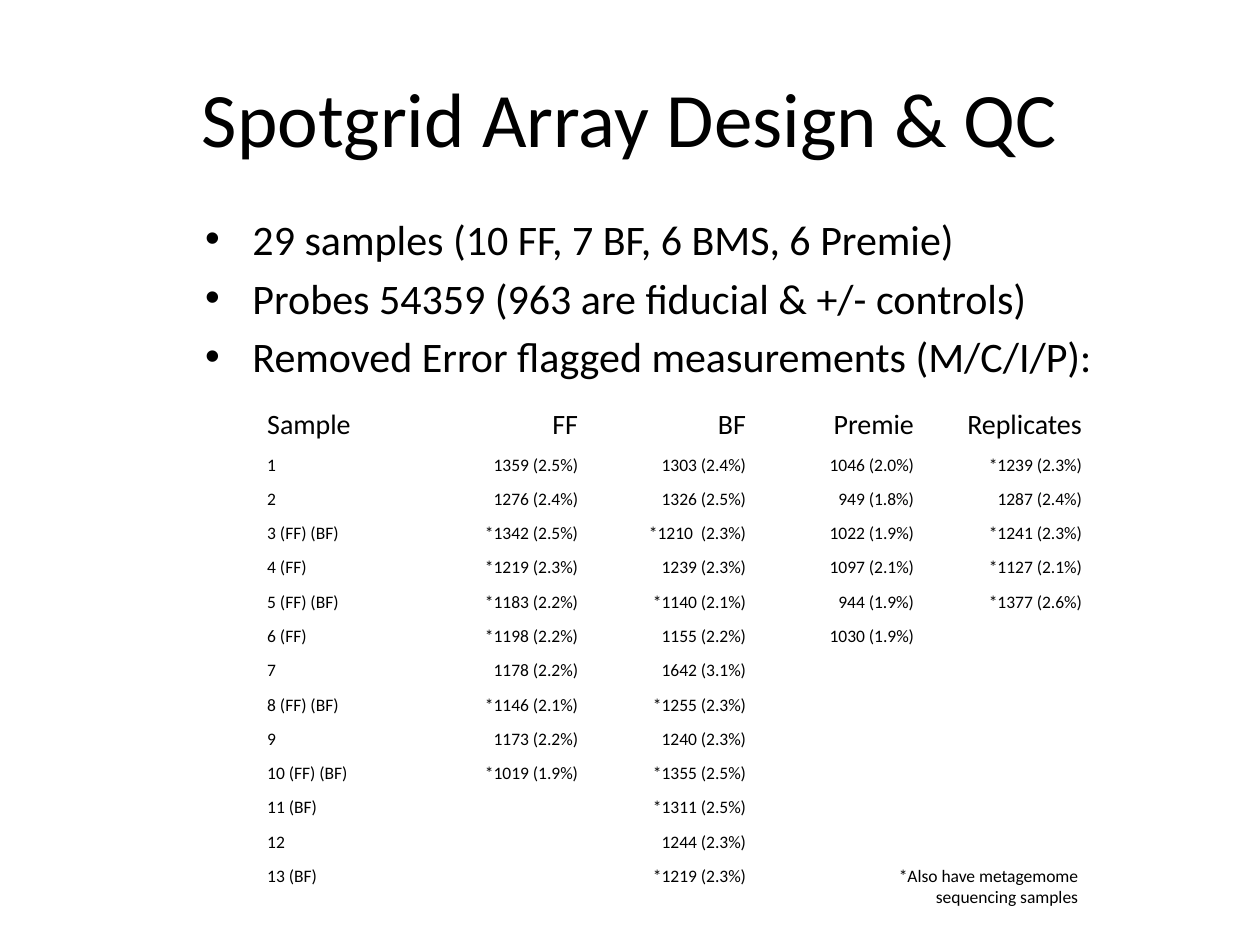
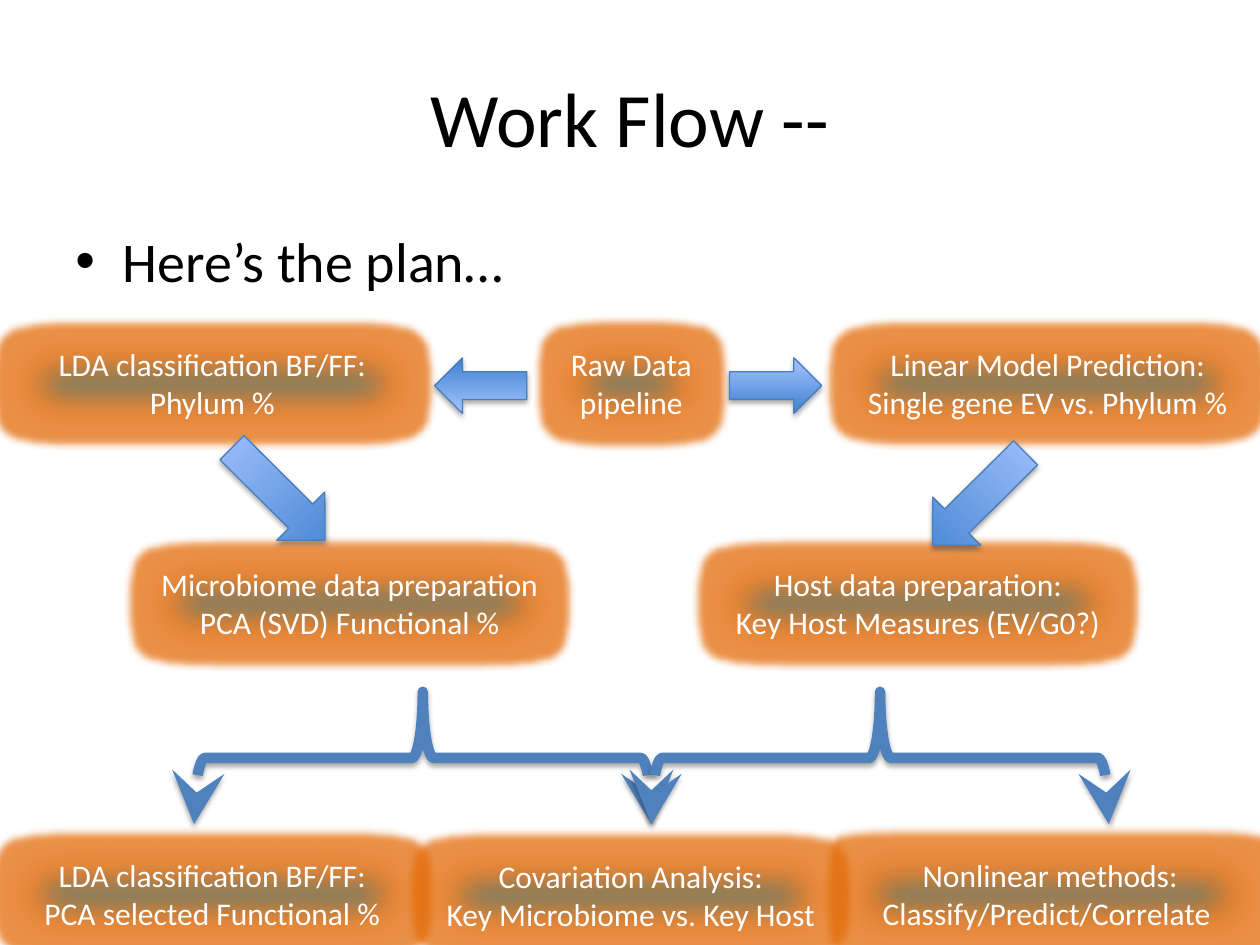
from lxml import etree
from pptx import Presentation
from pptx import util as u
from pptx.dml import color as dml
from pptx.enum import shapes, text
from pptx.oxml import ns

Pt = u.Pt
FONT = "Calibri"
BLACK, WHITE = "000000", "FFFFFF"
TEAL, ORANGE, BLUE = "31859C", "E46C0A", "4F81BD"
LEFT, CENTER, RIGHT = text.PP_ALIGN.LEFT, text.PP_ALIGN.CENTER, text.PP_ALIGN.RIGHT
A = 'xmlns:a="http://schemas.openxmlformats.org/drawingml/2006/main"'
SHADOW = (f'<a:outerShdw {A} blurRad="39370" dist="22860" dir="5400000" rotWithShape="0">'
          '<a:srgbClr val="000000"><a:alpha val="35000"/></a:srgbClr></a:outerShdw>')
GLOW = (f'<a:glow {A} rad="{Pt(9)}"><a:srgbClr val="{ORANGE}">'
        '<a:alpha val="75000"/></a:srgbClr></a:glow>')
SOFT_EDGE = f'<a:softEdge {A} rad="{Pt(20)}"/>'


def rgb(value):
    return dml.RGBColor.from_string(value)


def write(tf, lines, size, color=BLACK, align=LEFT, bullets=False):
    for i, line in enumerate(lines):
        p = tf.paragraphs[0] if i == 0 else tf.add_paragraph()
        p.alignment = align
        if bullets:
            pPr = p._p.get_or_add_pPr()
            pPr.set("marL", str(Pt(27)))
            pPr.set("indent", str(-Pt(27)))
            pPr.append(etree.fromstring(f'<a:buFont {A} typeface="Arial"/>'))
            pPr.append(etree.fromstring(f'<a:buChar {A} char="•"/>'))
            if i:
                p.space_before = Pt(size * 0.2)
        r = p.add_run()
        r.text = line
        r.font.name, r.font.size = FONT, Pt(size)
        r.font.color.rgb = rgb(color)


prs = Presentation()
prs.slide_width, prs.slide_height = Pt(720), Pt(540)

# Titles and bullet lists of both slides
contents = [
    ("Spotgrid Array Design & QC", 110.2, 118.3, 609, 24,
     ["29 samples (10 FF, 7 BF, 6 BMS, 6 Premie)",
      "Probes 54359 (963 are fiducial & +/- controls)",
      "Removed Error flagged measurements (M/C/I/P):"]),
    ("Work Flow --", 36, 126, 648, 32, ["Here’s the plan…"]),
]
slides = []
for title, left, top, width, size, points in contents:
    slide = prs.slides.add_slide(prs.slide_layouts[5])
    sp = slide.shapes.title
    sp.left, sp.top, sp.width, sp.height = Pt(36), Pt(21.6), Pt(648), Pt(90)
    sp.text_frame.vertical_anchor = text.MSO_ANCHOR.MIDDLE
    write(sp.text_frame, [title], 44, align=CENTER)
    tf = slide.shapes.add_textbox(Pt(left), Pt(top), Pt(width), Pt(356)).text_frame
    tf.word_wrap = True
    write(tf, points, size, bullets=True)
    slides.append(slide)
qc, flow = slides

# Slide 1: flagged measurements per sample
rows = [
    ("Sample", "FF", "BF", "Premie", "Replicates"),
    ("1", "1359 (2.5%)", "1303 (2.4%)", "1046 (2.0%)", "*1239 (2.3%)"),
    ("2", "1276 (2.4%)", "1326 (2.5%)", "949 (1.8%)", "1287 (2.4%)"),
    ("3 (FF) (BF)", "*1342 (2.5%)", "*1210  (2.3%)", "1022 (1.9%)", "*1241 (2.3%)"),
    ("4 (FF)", "*1219 (2.3%)", "1239 (2.3%)", "1097 (2.1%)", "*1127 (2.1%)"),
    ("5 (FF) (BF)", "*1183 (2.2%)", "*1140 (2.1%)", "944 (1.9%)", "*1377 (2.6%)"),
    ("6 (FF)", "*1198 (2.2%)", "1155 (2.2%)", "1030 (1.9%)", ""),
    ("7", "1178 (2.2%)", "1642 (3.1%)", "", ""),
    ("8 (FF) (BF)", "*1146 (2.1%)", "*1255 (2.3%)", "", ""),
    ("9", "1173 (2.2%)", "1240 (2.3%)", "", ""),
    ("10 (FF) (BF)", "*1019 (1.9%)", "*1355 (2.5%)", "", ""),
    ("11 (BF)", "", "*1311 (2.5%)", "", ""),
    ("12", "", "1244 (2.3%)", "", ""),
    ("13 (BF)", "", "*1219 (2.3%)",
     "*Also have metagemome \nsequencing samples ", ""),
]
table = qc.shapes.add_table(len(rows), 5, Pt(145.5), Pt(229.7), Pt(480), Pt(274)).table
table.first_row = table.horz_banding = False
for column in table.columns:
    column.width = Pt(96)
for i, row in enumerate(rows):
    table.rows[i].height = Pt(19.6)
    for j, value in enumerate(row):
        cell = table.cell(i, j)
        cell.fill.background()
        if value:
            write(cell.text_frame, value.split("\n"), 10 if i else 16,
                  align=RIGHT if j else LEFT)
        else:
            # Keep empty cells as low as the filled ones
            p = cell.text_frame.paragraphs[0]
            p._p.append(etree.fromstring(f'<a:endParaRPr {A} sz="1000"/>'))
table.cell(13, 3).merge(table.cell(13, 4))

# Slide 2: boxes of the work flow
boxes = [
    (4.3, 193.7, 234, "LDA classification BF/FF:", "Phylum %"),
    (316.8, 193.7, 88, "Raw Data", "pipeline"),
    (481.7, 193.7, 234, "Linear Model Prediction:", "Single gene EV vs. Phylum %"),
    (82.8, 319.3, 234, "Microbiome data preparation", "PCA (SVD) Functional %"),
    (407.5, 319.3, 234, "Host data preparation:", "Key Host Measures (EV/G0?)"),
    (4.3, 485.6, 234, "LDA classification BF/FF:", "PCA selected Functional %"),
    (243.4, 486, 234, "Covariation Analysis:", "Key Microbiome vs. Key Host"),
    (483.1, 485.6, 234, "Nonlinear methods:", "Classify/Predict/Correlate "),
]
for left, top, width, *lines in boxes:
    s = flow.shapes.add_shape(shapes.MSO_SHAPE.RECTANGLE,
                              Pt(left), Pt(top), Pt(width), Pt(51))
    s.fill.solid()
    s.fill.fore_color.rgb = rgb(TEAL)
    s.line.color.rgb, s.line.width = rgb(ORANGE), Pt(0.75)
    s.shadow.inherit = False
    effects = s._element.spPr.find(ns.qn("a:effectLst"))
    effects.append(etree.fromstring(GLOW))
    effects.append(etree.fromstring(SOFT_EDGE))
    s.text_frame.word_wrap = True
    s.text_frame.vertical_anchor = text.MSO_ANCHOR.TOP
    write(s.text_frame, lines, 18, WHITE, CENTER)

# Slide 2: block arrows and braces
DOWN, ACROSS, BRACE = (shapes.MSO_SHAPE.DOWN_ARROW, shapes.MSO_SHAPE.RIGHT_ARROW,
                       shapes.MSO_SHAPE.LEFT_BRACE)
links = [
    (DOWN, 139.7, 244.8, 38.9, 74.9, 314.8),
    (ACROSS, 416.9, 204.5, 52.6, 31.7, 0),
    (ACROSS, 248.4, 204.5, 52.6, 31.7, 180),
    (DOWN, 540, 247.7, 38.9, 74.9, 45.2),
    (BRACE, 203.8, 302.4, 75.6, 261.4, 90),
    (BRACE, 465.1, 302.4, 75.6, 261.4, 90),
]
for kind, left, top, width, height, turn in links:
    s = flow.shapes.add_shape(kind, Pt(left), Pt(top), Pt(width), Pt(height))
    s.rotation = turn
    s.shadow.inherit = False
    s._element.spPr.find(ns.qn("a:effectLst")).append(etree.fromstring(SHADOW))
    if kind == BRACE:
        s.fill.background()
        s.line.color.rgb, s.line.width = rgb(BLUE), Pt(6)
        for end in ("headEnd", "tailEnd"):
            s.line._get_or_add_ln().append(
                etree.fromstring(f'<a:{end} {A} type="stealth" w="lg" len="lg"/>'))
    else:
        s.fill.gradient()
        s.fill.gradient_angle = 90
        # Spread the two colours over the whole shape
        for i, value in enumerate(("3F80CE", "A4C4FF")):
            stop = s.fill.gradient_stops[i]
            stop.color.rgb, stop.position = rgb(value), i
        s.line.color.rgb, s.line.width = rgb("4B7EBC"), Pt(0.75)

prs.save("out.pptx")
